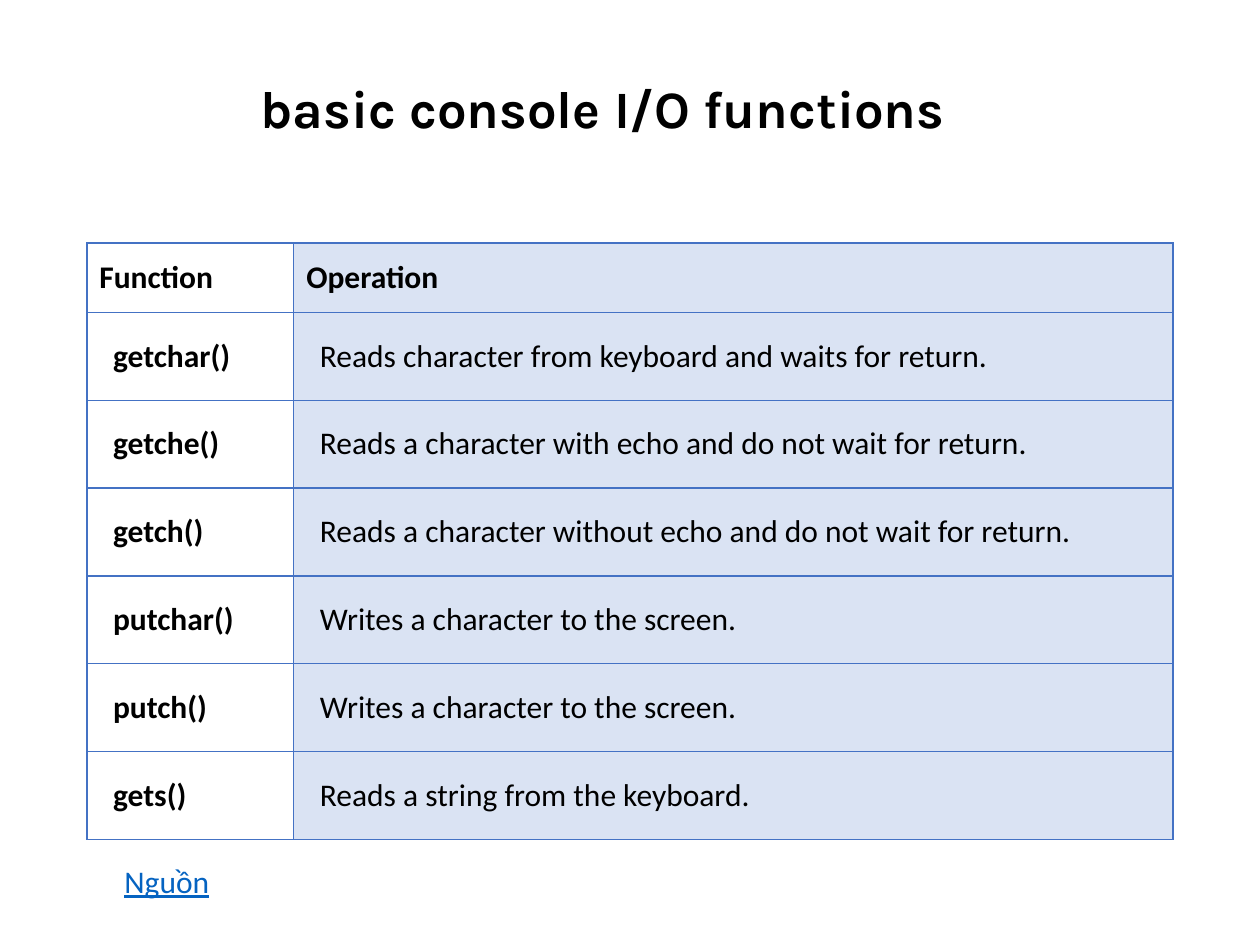
from lxml import etree
from pptx import Presentation
from pptx import util as u
from pptx.dml.color import RGBColor
from pptx.enum import text
from pptx.oxml.ns import qn

COLORS = {"ink": "000000", "border": "4472C4", "tint": "DAE3F3", "link": "0563C1"}

FUNCTIONS = [
    ("Function", "Operation"),
    ("getchar()", "Reads character from keyboard and waits for return."),
    ("getche()", "Reads a character with echo and do not wait for return."),
    ("getch()", "Reads a character without echo and do not wait for return."),
    ("putchar()", "Writes a character to the screen."),
    ("putch()", "Writes a character to the screen."),
    ("gets()", "Reads a string from the keyboard."),
]


class SlideBuilder:
    body = {"name": "Calibri", "size": u.Pt(18), "bold": False}
    heading = {"name": "Karla", "size": u.Pt(30), "bold": True}
    padding = {"margin_left": u.Cm(0.53), "margin_right": u.Cm(0.53),
               "margin_top": u.Cm(0.25), "margin_bottom": u.Cm(0.25)}

    def __init__(self, deck):
        self.page = deck.slides.add_slide(deck.slide_layouts[5])

    def apply(self, target, values):
        for name, value in values.items():
            setattr(target, name, value)

    def add_words(self, frame, words, style, color="ink"):
        para = frame.paragraphs[0]
        para.alignment = text.PP_ALIGN.LEFT
        span = para.add_run()
        span.text = words
        self.apply(span.font, style)
        span.font.color.rgb = RGBColor.from_string(COLORS[color])
        return para

    def title(self, words, left, top, width, height):
        box = self.page.shapes.title
        self.apply(box, {"left": u.Cm(left), "top": u.Cm(top),
                         "width": u.Cm(width), "height": u.Cm(height)})
        self.apply(box.text_frame, {"vertical_anchor": text.MSO_ANCHOR.MIDDLE,
                                    "auto_size": text.MSO_AUTO_SIZE.NONE,
                                    "word_wrap": True})
        para = self.add_words(box.text_frame, words, self.heading)
        para.line_spacing = 0.9

    def label(self, words, left, top, width, height, **changes):
        box = self.page.shapes.add_textbox(*map(u.Cm, (left, top, width, height)))
        self.apply(box.text_frame, {"word_wrap": True,
                                    "auto_size": text.MSO_AUTO_SIZE.SHAPE_TO_FIT_TEXT})
        self.add_words(box.text_frame, words, {**self.body, **changes}, "link")

    def outline(self, cell):
        properties = cell._tc.get_or_add_tcPr()
        for side in ("a:lnL", "a:lnR", "a:lnT", "a:lnB"):
            line = etree.SubElement(properties, qn(side), w=str(int(u.Pt(1))))
            fill = etree.SubElement(line, qn("a:solidFill"))
            etree.SubElement(fill, qn("a:srgbClr"), val=COLORS["border"])

    def table(self, rows, left, top, widths, heights):
        frame = self.page.shapes.add_table(
            len(rows), len(widths), u.Cm(left), u.Cm(top),
            u.Cm(sum(widths)), u.Cm(sum(heights)))
        grid = frame.table
        self.apply(grid, {"first_row": False, "horz_banding": False})
        for column, width in zip(grid.columns, widths):
            column.width = u.Cm(width)
        for row, height in zip(grid.rows, heights):
            row.height = u.Cm(height)
        for i, row in enumerate(rows):
            for j, words in enumerate(row):
                cell = grid.cell(i, j)
                cell.vertical_anchor = text.MSO_ANCHOR.MIDDLE
                if i > 0:
                    self.apply(cell, self.padding)
                self.outline(cell)
                if j == 0:
                    cell.fill.background()
                else:
                    cell.fill.solid()
                    cell.fill.fore_color.rgb = RGBColor.from_string(COLORS["tint"])
                self.add_words(cell.text_frame, words,
                               {**self.body, "bold": i == 0 or j == 0})


def main():
    deck = Presentation()
    deck.slide_width, deck.slide_height = u.Cm(25.4), u.Cm(19.05)
    slide = SlideBuilder(deck)
    slide.title("basic console I/O functions", 5, 1.27, 18.64, 1.96)
    slide.table(FUNCTIONS, 1.75, 4.9, [4.17, 17.73],
                [1.4] + [1.77] * (len(FUNCTIONS) - 1))
    slide.label("Nguồn", 2.26, 17.25, 4.95, 1.02, underline=True)
    deck.save("out.pptx")


if __name__ == "__main__":
    main()
